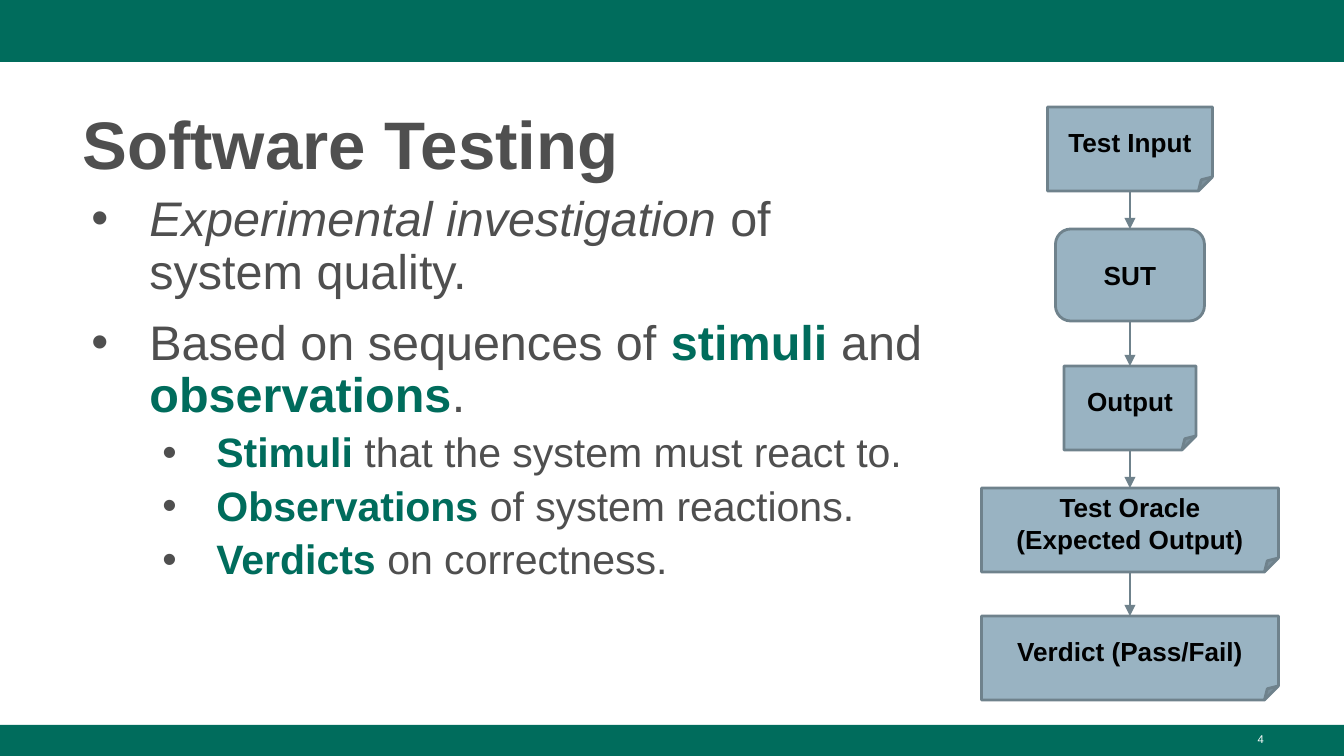
"""Build the Software Testing slide with a bullet list and a test flow diagram."""
import lxml.etree
import pptx
import pptx.dml.color
import pptx.enum.shapes
import pptx.enum.text
import pptx.oxml.ns
import pptx.util

PX = 914400 / 134.4
COLORS = {
    "green": "006C5C",
    "gray": "4F4F4F",
    "box": "99B3C2",
    "outline": "6F828C",
    "black": "000000",
    "white": "FFFFFF",
}
SHAPES = pptx.enum.shapes.MSO_SHAPE
ANCHOR = pptx.enum.text.MSO_ANCHOR
ALIGN = pptx.enum.text.PP_ALIGN
qn = pptx.oxml.ns.qn


def px(*lengths):
    return [pptx.util.Emu(round(length * PX)) for length in lengths]


def add_run(paragraph, text, size, color, bold=False, italic=False):
    run = paragraph.add_run()
    run.text = text
    run.font.name = "Arial"
    run.font.size = pptx.util.Pt(size)
    run.font.bold = bold
    run.font.italic = italic
    run.font.color.rgb = pptx.dml.color.RGBColor.from_string(COLORS[color])


presentation = pptx.Presentation()
presentation.slide_width, presentation.slide_height = px(1344, 756)
slide = presentation.slides.add_slide(presentation.slide_layouts[1])

for top, height in [(0, 62), (725, 31)]:
    band = slide.shapes.add_shape(SHAPES.RECTANGLE, *px(0, top, 1344, height))
    band.shadow.inherit = False
    band.fill.solid()
    band.fill.fore_color.rgb = pptx.dml.color.RGBColor.from_string(COLORS["green"])
    band.line.fill.background()

title = slide.shapes.title
title.left, title.top, title.width, title.height = px(69, 90, 1208, 98)
title.text_frame.vertical_anchor = ANCHOR.MIDDLE
title.text_frame.auto_size = pptx.enum.text.MSO_AUTO_SIZE.NONE
paragraph = title.text_frame.paragraphs[0]
paragraph.alignment = ALIGN.LEFT
paragraph.line_spacing = 1.08
add_run(paragraph, "Software Testing", 36, "gray", bold=True)

body = slide.placeholders[1]
body.left, body.top, body.width, body.height = px(69, 188, 871, 512)
body.text_frame.auto_size = pptx.enum.text.MSO_AUTO_SIZE.NONE
levels = [
    {"size": 26, "space": 10, "margin": 67, "indent": -58},
    {"size": 22, "space": 5, "margin": 134, "indent": -54},
]
bullets = [
    (0, [("Experimental investigation", "italic"), (" of system quality.", "plain")]),
    (0, [("Based on sequences of ", "plain"), ("stimuli", "key"), (" and ", "plain"),
         ("observations", "key"), (".", "plain")]),
    (1, [("Stimuli ", "key"), ("that the system must react to.", "plain")]),
    (1, [("Observations", "key"), (" of system reactions.", "plain")]),
    (1, [("Verdicts ", "key"), ("on correctness.", "plain")]),
]
for index, (level, runs) in enumerate(bullets):
    style = levels[level]
    paragraph = body.text_frame.add_paragraph() if index else body.text_frame.paragraphs[0]
    paragraph.level = level
    paragraph.line_spacing = 0.9
    paragraph.space_before = pptx.util.Pt(style["space"] if index else 0)
    properties = paragraph._p.get_or_add_pPr()
    margin, indent = px(style["margin"], style["indent"])
    properties.set("marL", str(margin))
    properties.set("indent", str(indent))
    bullet_color = lxml.etree.SubElement(properties, qn("a:buClr"))
    lxml.etree.SubElement(bullet_color, qn("a:srgbClr"), val=COLORS["gray"])
    lxml.etree.SubElement(properties, qn("a:buFont"), typeface="Arial")
    lxml.etree.SubElement(properties, qn("a:buChar"), char="•")
    for text, kind in runs:
        color = "green" if kind == "key" else "gray"
        add_run(paragraph, text, style["size"], color, kind == "key", kind == "italic")

number_box = slide.shapes.add_textbox(*px(964, 726, 313, 31))
number_box.text_frame.word_wrap = True
paragraph = number_box.text_frame.paragraphs[0]
paragraph.alignment = ALIGN.RIGHT
add_run(paragraph, "4", 6, "white")

center = 1130
steps = [
    ("Test Input", SHAPES.FOLDED_CORNER, 107, 165, 84),
    ("SUT", SHAPES.ROUNDED_RECTANGLE, 229, 149, 92),
    ("Output", SHAPES.FOLDED_CORNER, 366, 132, 84),
    ("Test Oracle (Expected Output)", SHAPES.FOLDED_CORNER, 488, 297, 84),
    ("Verdict (Pass/Fail)", SHAPES.FOLDED_CORNER, 616, 297, 84),
]
previous_bottom = None
for label, preset, top, width, height in steps:
    step = slide.shapes.add_shape(preset, *px(center - width / 2, top, width, height))
    step.shadow.inherit = False
    step.fill.solid()
    step.fill.fore_color.rgb = pptx.dml.color.RGBColor.from_string(COLORS["box"])
    step.line.color.rgb = pptx.dml.color.RGBColor.from_string(COLORS["outline"])
    step.line.width = pptx.util.Pt(1.5)
    frame = step.text_frame
    frame.word_wrap = True
    frame.vertical_anchor = ANCHOR.MIDDLE
    frame.margin_left, frame.margin_top, frame.margin_right, frame.margin_bottom = px(13, 13, 13, 13)
    paragraph = frame.paragraphs[0]
    paragraph.alignment = ALIGN.CENTER
    add_run(paragraph, label, 14, "black", bold=True)

    if previous_bottom is not None:
        arrow = slide.shapes.add_connector(
            pptx.enum.shapes.MSO_CONNECTOR.STRAIGHT, *px(center, previous_bottom, center, top))
        arrow.line.color.rgb = pptx.dml.color.RGBColor.from_string(COLORS["outline"])
        arrow.line.width = pptx.util.Pt(1.5)
        lxml.etree.SubElement(arrow.line._get_or_add_ln(), qn("a:tailEnd"), type="triangle")
        lxml.etree.SubElement(arrow._element.spPr, qn("a:effectLst"))
    previous_bottom = top + height

presentation.save("out.pptx")
